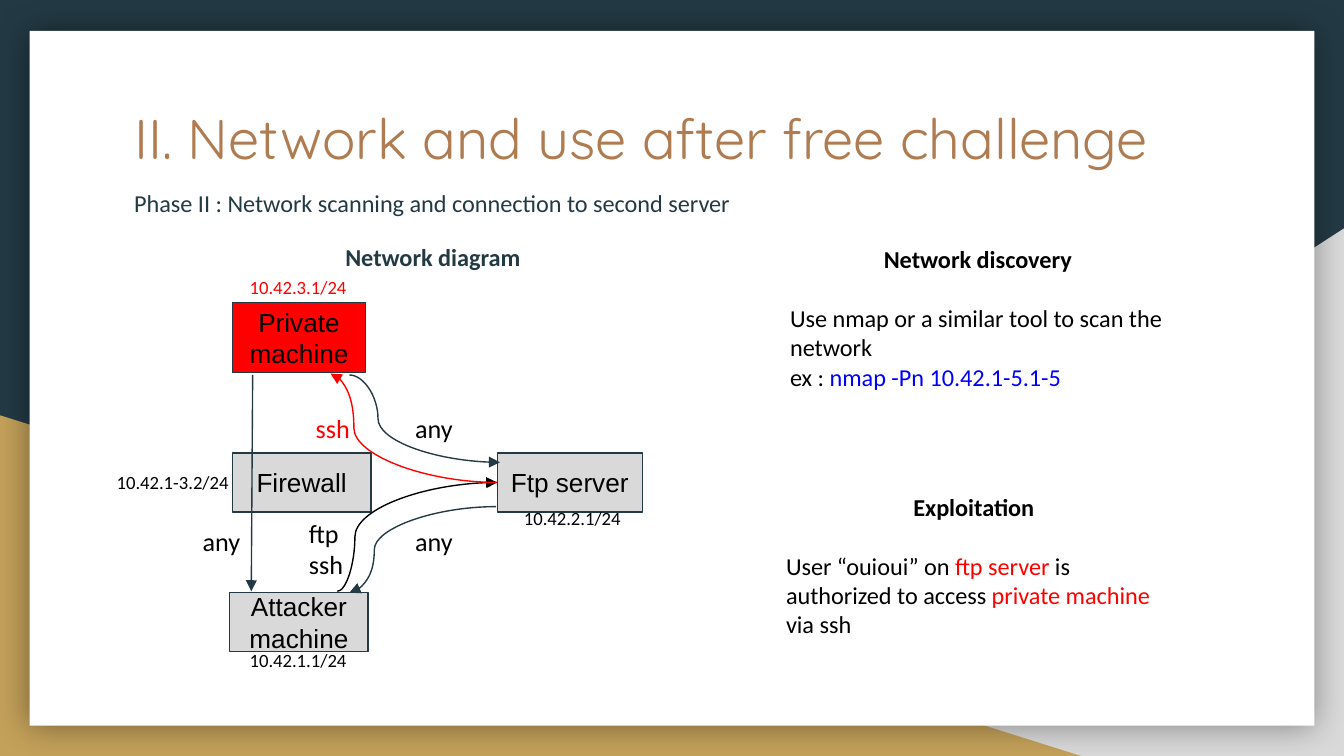
from typing import NamedTuple, Optional

from lxml import etree
from pptx import Presentation
from pptx.dml.color import RGBColor
from pptx.enum import shapes, text
from pptx.oxml import ns
from pptx.util import Inches, Pt

NAVY = RGBColor(0x23, 0x3A, 0x44)
GOLD = RGBColor(0xC4, 0xA1, 0x5A)
BROWN = RGBColor(0xAF, 0x7B, 0x51)
GREY = RGBColor(0xD9, 0xD9, 0xD9)
RED = RGBColor(0xFF, 0x00, 0x00)
BLUE = RGBColor(0x00, 0x00, 0xFF)
BLACK = RGBColor(0x00, 0x00, 0x00)
WHITE = RGBColor(0xFF, 0xFF, 0xFF)

SHAPE = shapes.MSO_SHAPE
CENTER = text.PP_ALIGN.CENTER


class Node(NamedTuple):
    label: str
    box: tuple
    fill: RGBColor = GREY


class Flow(NamedTuple):
    start: tuple
    end: tuple
    color: RGBColor = NAVY
    bend: Optional[float] = None  # share of the width where the curve turns


class Label(NamedTuple):
    lines: list
    left: float
    top: float
    size: int = 14
    color: RGBColor = BLACK


class Panel(NamedTuple):
    heading: str
    lines: list
    left: float
    top: float


NODES = [
    Node("Private machine", (1.73, 2.25, 0.99, 0.52), RED),
    Node("Ftp server", (3.7, 3.37, 1.08, 0.44)),
    Node("Firewall", (1.73, 3.37, 1.03, 0.44)),
    Node("Attacker machine", (1.71, 4.41, 1.03, 0.44)),
]
FLOWS = [
    Flow((3.69, 3.77), (2.6, 4.41), bend=0.83),
    Flow((2.51, 4.4), (3.7, 3.59), BLACK, 0.11),
    Flow((1.88, 2.79), (1.87, 4.4)),
    Flow((2.6, 2.79), (3.72, 3.44), bend=0.19),
    Flow((3.7, 3.59), (2.46, 2.78), RED, 0.86),
]
LABELS = [
    Label(["any"], 2.99, 2.97),
    Label(["ssh"], 2.25, 2.97, color=RED),
    Label(["any"], 2.99, 3.81),
    Label(["ftp", "ssh"], 2.2, 3.75),
    Label(["any"], 1.41, 3.81),
    Label(["10.42.1-3.2/24"], 0.77, 3.42, 10),
    Label(["10.42.3.1/24"], 1.76, 1.97, 10, RED),
    Label(["10.42.1.1/24"], 1.76, 4.74, 10),
    Label(["10.42.2.1/24"], 3.8, 3.69, 10),
]
PANELS = [
    Panel("Network discovery", [
        "Use nmap or a similar tool to scan the network",
        [("ex : ", BLACK), ("nmap -Pn 10.42.1-5.1-5", BLUE)],
    ], 5.78, 1.72),
    Panel("Exploitation", [
        [("User “ouioui” on ", BLACK), ("ftp server", RED),
         (" is authorized to access ", BLACK), ("private machine", RED),
         (" via ssh", BLACK)],
    ], 5.75, 3.56),
]


def write(tf, lines, *, size=13, font="Calibri", color=BLACK, bold=False,
          align=None, spacing=None, gap=0) -> None:
    """Append lines, each a string or a list of (text, colour); gap precedes the first."""
    for i, line in enumerate(lines):
        p = tf.add_paragraph() if tf.text else tf.paragraphs[0]
        p.alignment = align
        if spacing:
            p.line_spacing = spacing
        if gap and i == 0:
            p.space_before = Pt(gap)
        for words, run_color in [(line, color)] if isinstance(line, str) else line:
            r = p.add_run()
            r.text = words
            r.font.size = Pt(size)
            r.font.name = font
            r.font.bold = bold
            r.font.color.rgb = run_color


def set_frame(tf):
    tf.word_wrap = True
    tf.margin_left = tf.margin_right = tf.margin_top = tf.margin_bottom = Inches(0.1)
    return tf


def add_text(s, box: tuple, lines: list, **fmt):
    tf = set_frame(s.shapes.add_textbox(*map(Inches, box)).text_frame)
    write(tf, lines, **fmt)
    return tf


def add_block(s, kind, box: tuple, fill: RGBColor, line: Optional[RGBColor] = None):
    sp = s.shapes.add_shape(kind, *map(Inches, box))
    sp.shadow.inherit = False
    sp.fill.solid()
    sp.fill.fore_color.rgb = fill
    if line is None:
        sp.line.fill.background()
    else:
        sp.line.color.rgb = line
        sp.line.width = Pt(0.75)
    return sp


def add_backdrop(s) -> None:
    s.background.fill.solid()
    s.background.fill.fore_color.rgb = NAVY
    corner = add_block(s, SHAPE.RIGHT_TRIANGLE, (3.92, 1.7, 6.08, 3.93), GREY)
    corner._element.spPr.find(ns.qn("a:xfrm")).set("flipH", "1")
    add_block(s, SHAPE.RIGHT_TRIANGLE, (0, 3.09, 8.06, 2.54), GOLD)
    card = add_block(s, SHAPE.RECTANGLE, (0.22, 0.23, 9.56, 5.17), WHITE)
    effects = card._element.spPr.find(ns.qn("a:effectLst"))
    glow = etree.SubElement(effects, ns.qn("a:outerShdw"), blurRad=str(Pt(18)), dist="0")
    black = etree.SubElement(glow, ns.qn("a:srgbClr"), val="000000")
    etree.SubElement(black, ns.qn("a:alpha"), val="40000")


def add_node(s, node: Node) -> None:
    sp = add_block(s, SHAPE.RECTANGLE, node.box, node.fill, NAVY)
    tf = set_frame(sp.text_frame)
    tf.vertical_anchor = text.MSO_ANCHOR.MIDDLE
    write(tf, [node.label], size=14, font="Arial", align=CENTER)


def add_flow(s, flow: Flow) -> None:
    kinds = shapes.MSO_CONNECTOR
    kind = kinds.STRAIGHT if flow.bend is None else kinds.CURVE
    c = s.shapes.add_connector(kind, *map(Inches, flow.start + flow.end))
    c.line.color.rgb = flow.color
    c.line.width = Pt(0.75)
    spPr = c._element.spPr
    if flow.bend is not None:
        geom = spPr.find(ns.qn("a:prstGeom"))
        guides = geom.find(ns.qn("a:avLst"))
        if guides is None:
            guides = etree.SubElement(geom, ns.qn("a:avLst"))
        etree.SubElement(guides, ns.qn("a:gd"), name="adj1",
                         fmla=f"val {round(flow.bend * 100000)}")
    etree.SubElement(spPr.find(ns.qn("a:ln")), ns.qn("a:tailEnd"), type="triangle")
    etree.SubElement(spPr, ns.qn("a:effectLst"))


def main() -> None:
    prs = Presentation()
    prs.slide_width, prs.slide_height = Inches(10), Inches(10 * 9 / 16)
    s = prs.slides.add_slide(prs.slide_layouts[6])
    add_backdrop(s)
    add_text(s, (0.9, 0.67, 8.21, 1.04), ["II. Network and use after free challenge"],
             size=30, font="Quicksand", color=BROWN)
    add_text(s, (0.9, 1.27, 5.86, 0.57),
             ["Phase II : Network scanning and connection to second server"],
             color=NAVY, spacing=1.15)
    add_text(s, (1.23, 1.67, 3.98, 3.14), ["Network diagram"],
             color=NAVY, bold=True, align=CENTER, spacing=1.15)
    for node in NODES:
        add_node(s, node)
    for flow in FLOWS:
        add_flow(s, flow)
    for label in LABELS:
        height = 0.2 + len(label.lines) * label.size / 60
        add_text(s, (label.left, label.top, 4.37, height), label.lines,
                 size=label.size, color=label.color)
    for panel in PANELS:
        tf = add_text(s, (panel.left, panel.top, 2.99, 1.3), [panel.heading],
                      bold=True, align=CENTER)
        write(tf, panel.lines, gap=16)
    prs.save("out.pptx")


if __name__ == "__main__":
    main()
